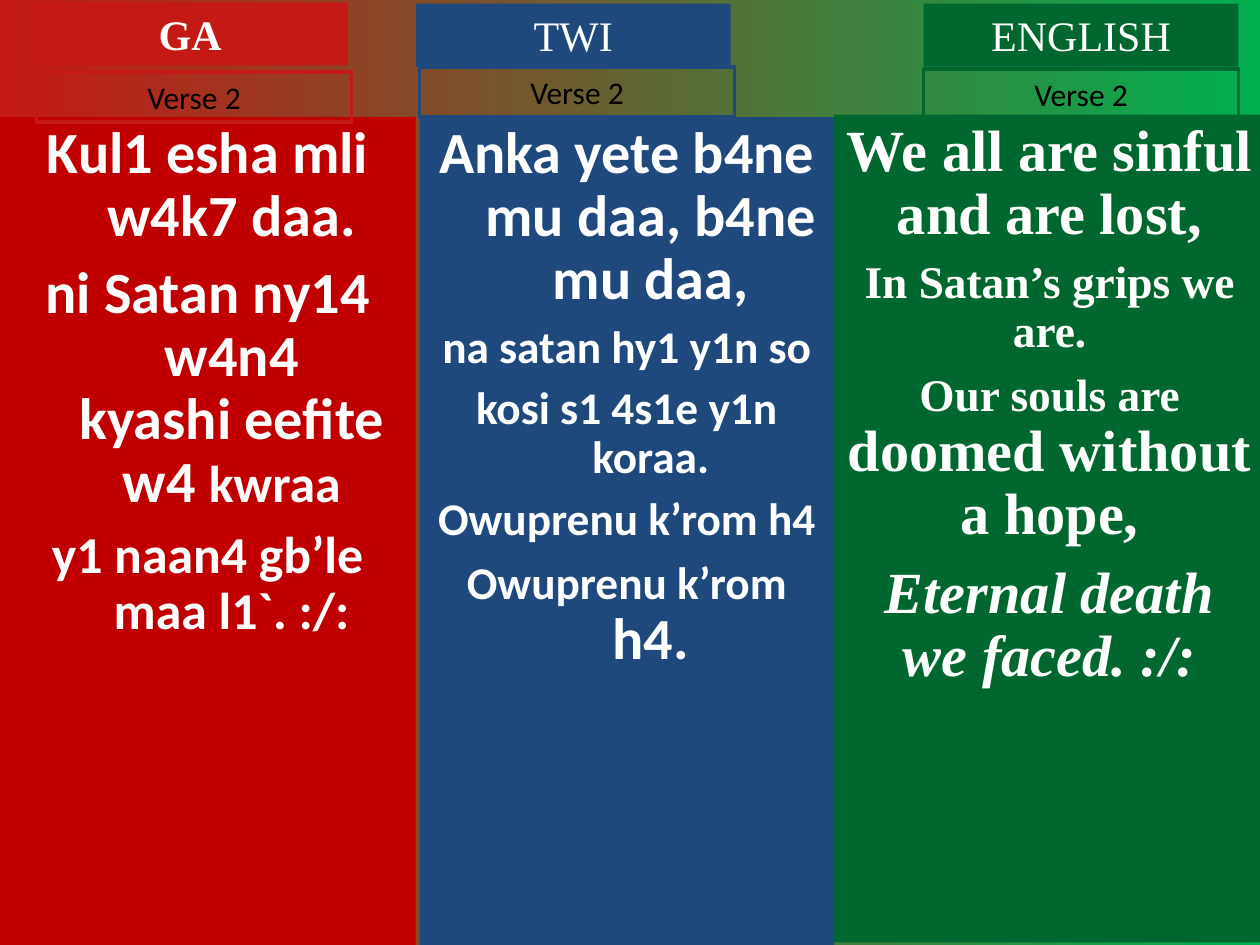
from pptx import Presentation
from pptx.dml.color import RGBColor
from pptx.enum.text import MSO_AUTO_SIZE as Fit, PP_ALIGN as Align
from pptx.util import Inches, Pt

SANS, SERIF = "Calibri", "Times New Roman"
WHITE, BLACK = "FFFFFF", "000000"
BIG, MID, SMALL = 33.3, 29.6, 25.9

# Each verse paragraph: space before, then (text, size) runs
COLUMNS = [
    dict(name="GA", bold=True, font=SANS, hang=0.38, italic_last=False,
         head_fill="C51915", panel_fill="C00000",
         panel=(0, 0.93, 3.3), head=(0.26, 0.02), label=(0.29, 0.57),
         verse=[(0, [("Kul1 esha mli w4k7 daa.", BIG)]),
                (8, [("ni Satan ny14 w4n4\vkyashi eefite w4 ", BIG), ("kwraa", MID)]),
                (8, [("y1 naan4 gb’le maa l1`. :/:", MID)])]),
    dict(name="TWI", bold=False, font=SANS, hang=0.38, italic_last=False,
         head_fill="1F497D", panel_fill="1F497D",
         panel=(3.33, 0.93, 3.29), head=(3.3, 0.03), label=(3.33, 0.53),
         verse=[(0, [("Anka yete b4ne mu daa, b4ne mu daa,", BIG)]),
                (7, [("na satan hy1 y1n so", SMALL)]),
                (7, [("kosi s1 4s1e y1n koraa.", SMALL)]),
                (7, [("Owuprenu k’rom h4", SMALL)]),
                (9, [("Owuprenu k’rom ", SMALL), ("h4.", BIG)])]),
    dict(name="ENGLISH", bold=False, font=SERIF, hang=0, italic_last=True,
         head_fill="00682F", panel_fill="00682F",
         panel=(6.62, 0.91, 3.42), head=(7.33, 0.03), label=(7.33, 0.55),
         verse=[(0, [("We all are sinful and are lost,", BIG)]),
                (7, [("In Satan’s grips we are.", SMALL)]),
                (9, [("Our souls are ", SMALL), ("doomed without a hope,", BIG)]),
                (9, [("Eternal death we faced. :/:", BIG)])]),
]
PANEL_H, HEAD_W, HEAD_H, LABEL_H = 6.57, 2.5, 0.5, 0.4


def rgb(value):
    return RGBColor.from_string(value)


def add_box(s, x, y, w, h, fill=None, line=None):
    sp = s.shapes.add_textbox(Inches(x), Inches(y), Inches(w), Inches(h))
    if fill:
        sp.fill.solid()
        sp.fill.fore_color.rgb = rgb(fill)
    if line:
        sp.line.color.rgb = rgb(line)
        sp.line.width = Pt(2.25)
    sp.text_frame.word_wrap = True
    return sp.text_frame


def style(p, font, color, size=None, bold=False, italic=False):
    p.alignment = Align.CENTER
    p.font.name = font
    p.font.color.rgb = rgb(color)
    p.font.bold = bold
    p.font.italic = italic
    if size:
        p.font.size = Pt(size)


def add_verse(s, col):
    x, y, w = col["panel"]
    tf = add_box(s, x, y, w, PANEL_H, fill=col["panel_fill"])
    last = len(col["verse"]) - 1
    for i, (before, runs) in enumerate(col["verse"]):
        p = tf.add_paragraph() if i else tf.paragraphs[0]
        if col["hang"]:
            pPr = p._p.get_or_add_pPr()
            pPr.set("marL", str(Inches(col["hang"])))
            pPr.set("indent", str(-Inches(col["hang"])))
        style(p, col["font"], WHITE, bold=True,
              italic=col["italic_last"] and i == last)
        p.line_spacing = 0.9
        p.space_before = Pt(before)
        for text, size in runs:
            # A vertical tab marks a line break inside the paragraph
            for n, part in enumerate(text.split("\v")):
                if n:
                    p.add_line_break()
                r = p.add_run()
                r.text = part
                r.font.size = Pt(size)


def add_caption(s, text, at, h, font, color, size, bold=False, **box):
    tf = add_box(s, *at, HEAD_W, h, **box)
    tf.auto_size = Fit.SHAPE_TO_FIT_TEXT
    tf.text = text
    style(tf.paragraphs[0], font, color, size, bold)


prs = Presentation()
prs.slide_width, prs.slide_height = Inches(10), Inches(7.5)
s = prs.slides.add_slide(prs.slide_layouts[6])

# Background: red to green, left to right
bg = s.background.fill
bg.gradient()
bg.gradient_angle = 0
for stop, color in zip(bg.gradient_stops, ("C51915", "00B050")):
    stop.color.rgb = rgb(color)

# Verse panels, then language names and verse labels on top
for col in COLUMNS:
    add_verse(s, col)
for col in COLUMNS:
    add_caption(s, col["name"], col["head"], HEAD_H, SERIF, WHITE, 24,
                col["bold"], fill=col["head_fill"])
    add_caption(s, "Verse 2", col["label"], LABEL_H, SANS, BLACK, 18,
                line=col["head_fill"])

prs.save("out.pptx")
